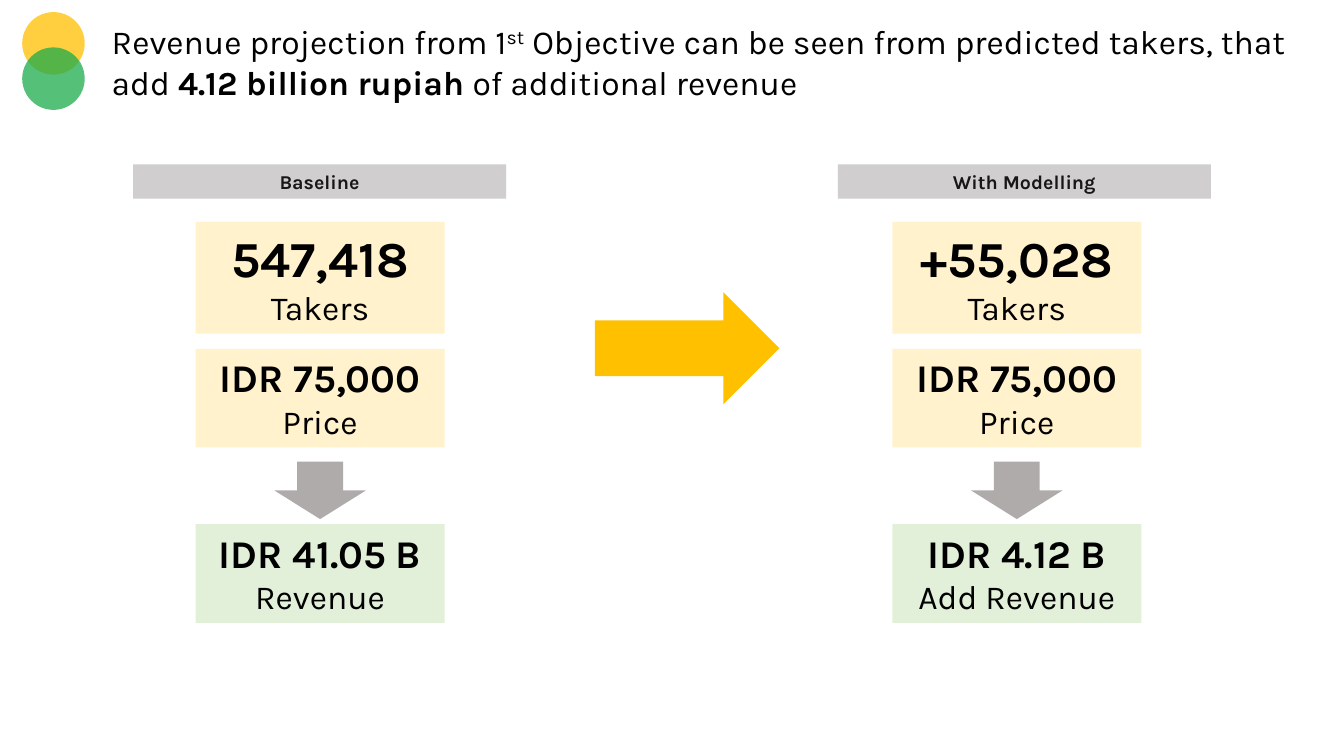
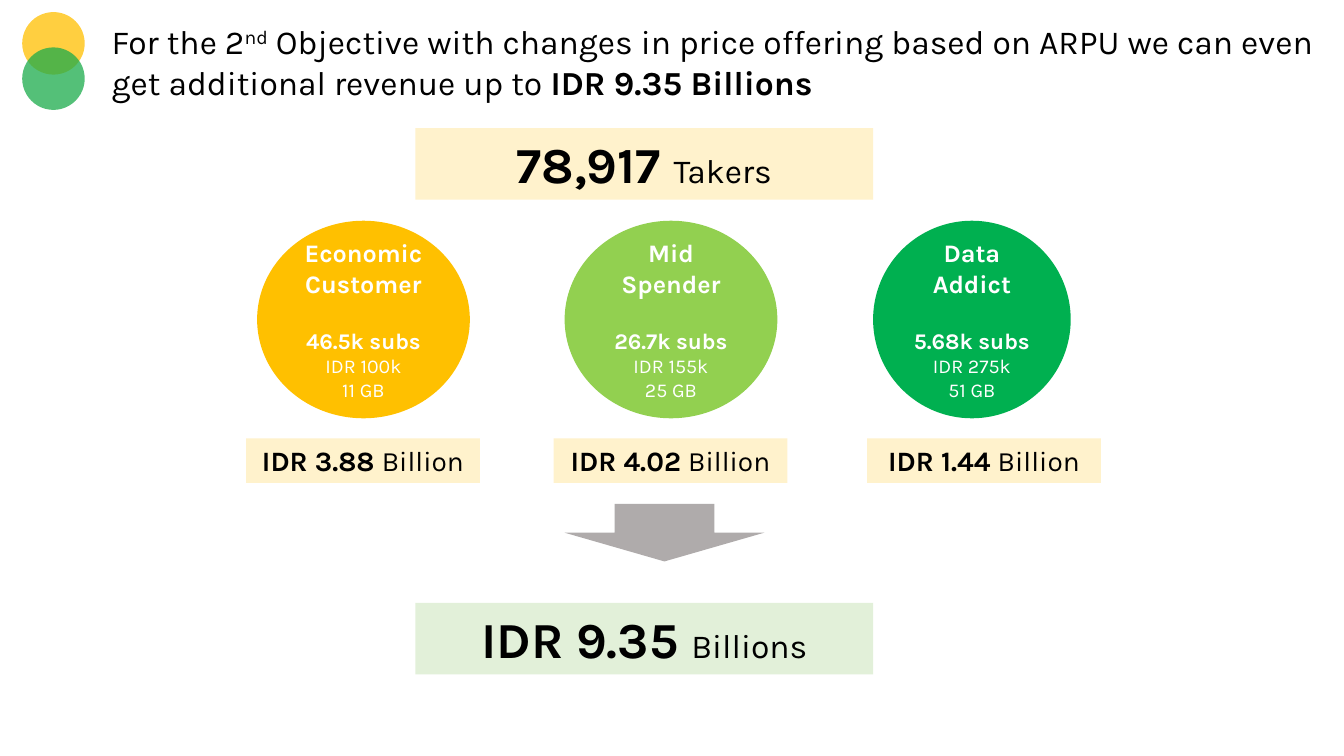
from lxml import etree
from pptx import Presentation
from pptx.dml.color import RGBColor
from pptx.enum.shapes import MSO_SHAPE
from pptx.enum.text import MSO_ANCHOR, PP_ALIGN
from pptx.oxml.ns import qn
from pptx.util import Inches, Pt

RECT, OVAL = MSO_SHAPE.RECTANGLE, MSO_SHAPE.OVAL
DOWN, RIGHT = MSO_SHAPE.DOWN_ARROW, MSO_SHAPE.RIGHT_ARROW
TOP, MIDDLE = MSO_ANCHOR.TOP, MSO_ANCHOR.MIDDLE
LEFT, CENTER = PP_ALIGN.LEFT, PP_ALIGN.CENTER

FONT = "Karla"
BLACK, WHITE, INK = "000000", "FFFFFF", "181717"
AMBER, CREAM, MINT = "FFC000", "FFF2CC", "E2F0D9"
LIGHT_GREY, GREY = "D0CECE", "AFABAB"


def write(p, runs, color=BLACK, align=CENTER):
    """Fill a paragraph from (text, size, bold) runs; the first run sets its font."""
    _, size, bold = runs[0]
    p.alignment = align
    p.font.name = FONT
    p.font.size = Pt(size)
    p.font.bold = bold
    p.font.color.rgb = RGBColor.from_string(color)
    for text, run_size, run_bold in runs:
        r = p.add_run()
        r.text = text
        if run_size != size:
            r.font.size = Pt(run_size)
        if run_bold != bold:
            r.font.bold = run_bold


def add_block(slide, kind, box, fill, lines=(), color=BLACK, anchor=TOP):
    """Add a borderless shape whose lines are lists of (text, size, bold) runs."""
    sp = slide.shapes.add_shape(kind, *map(Inches, box))
    sp.shadow.inherit = False
    sp.line.fill.background()
    sp.fill.solid()
    sp.fill.fore_color.rgb = RGBColor.from_string(fill)
    tf = sp.text_frame
    tf.word_wrap = True
    tf.vertical_anchor = anchor
    for i, runs in enumerate(lines):
        write(tf.add_paragraph() if i else tf.paragraphs[0], runs, color)
    return sp


prs = Presentation()
prs.slide_width, prs.slide_height = Inches(13.33), Inches(7.5)

# Shared title and overlapping circles
titles = [
    [("Revenue projection from 1", 24, False), ("st", 24, False),
     (" Objective can be seen from predicted takers, that add ", 24, False),
     ("4.12 billion rupiah ", 24, True), ("of additional revenue", 24, False)],
    [("For the 2", 24, False), ("nd", 24, False),
     (" Objective with changes in price offering based on ARPU we can even "
      "get additional revenue up to ", 24, False),
     ("IDR 9.35 Billions", 24, True)],
]
for runs in titles:
    s = prs.slides.add_slide(prs.slide_layouts[6])
    title = s.shapes.add_textbox(Inches(1.01), Inches(0.16), Inches(12.32), Inches(0.91))
    title.text_frame.word_wrap = True
    p = title.text_frame.paragraphs[0]
    write(p, runs, align=LEFT)
    ordinal = p.runs[1]
    ordinal._r.get_or_add_rPr().set("baseline", "30000")
    for y, fill in ((0.12, AMBER), (0.47, "1BAC4B")):
        sp = add_block(s, OVAL, (0.22, y, 0.62, 0.62), fill)
        clr = sp.fill._xPr.find(qn("a:solidFill"))[0]
        etree.SubElement(clr, qn("a:alpha")).set("val", "75000")

compare, segments = prs.slides

# Slide 1: baseline against modelling
columns = [
    (1.32, 1.94, "Baseline", "547,418", "IDR 41.05 B", "Revenue"),
    (8.31, 8.85, "With Modelling", "+55,028", "IDR 4.12 B", "Add Revenue"),
]
for header_x, x, header, takers, revenue, revenue_label in columns:
    add_block(compare, RECT, (header_x, 1.63, 3.7, 0.34), LIGHT_GREY,
              [[(header, 14, True)]], INK, MIDDLE)
    cards = [
        (2.2, 1.11, CREAM, takers, 36, "Takers"),
        (3.46, 0.98, CREAM, "IDR 75,000", 28, "Price"),
        (5.2, 0.98, MINT, revenue, 28, revenue_label),
    ]
    for y, h, fill, value, size, label in cards:
        add_block(compare, RECT, (x, y, 2.47, h), fill,
                  [[(value, size, True)], [(label, 24, False)]])
    add_block(compare, DOWN, (x + 0.78, 4.58, 0.91, 0.57), GREY)
add_block(compare, RIGHT, (5.9, 2.9, 1.83, 1.11), AMBER)

# Slide 2: customer segments and their total
totals = [
    (1.27, CREAM, "78,917 ", "Takers"),
    (5.98, MINT, "IDR 9.35 ", "Billions"),
]
for y, fill, value, unit in totals:
    add_block(segments, RECT, (4.12, y, 4.54, 0.71), fill,
              [[(value, 36, True), (unit, 24, False)]])

customers = [
    (2.55, 2.11, 2.44, AMBER, "Economic Customer", "46.5k subs", "IDR 100k", "11 GB", "IDR 3.88 "),
    (5.6, 2.11, 5.49, "92D050", "Mid Spender", "26.7k subs", "IDR 155k", "25 GB", "IDR 4.02 "),
    (8.66, 1.96, 8.6, "00B050", "Data Addict", "5.68k subs", "IDR 275k", "51 GB", "IDR 1.44 "),
]
for x, w, revenue_x, fill, name, subs, price, quota, revenue in customers:
    sp = add_block(segments, OVAL, (x, 2.19, w, 1.96), fill,
                   [[(name, 18, True)], [(subs, 16, True)],
                    [(price, 14, False)], [(quota, 14, False)]], WHITE, MIDDLE)
    sp.text_frame.paragraphs[1].space_before = Pt(21)
    add_block(segments, RECT, (revenue_x, 4.35, 2.32, 0.44), CREAM,
              [[(revenue, 20, True), ("Billion", 20, False)]])
add_block(segments, DOWN, (5.6, 5, 1.98, 0.57), GREY)

prs.save("out.pptx")
